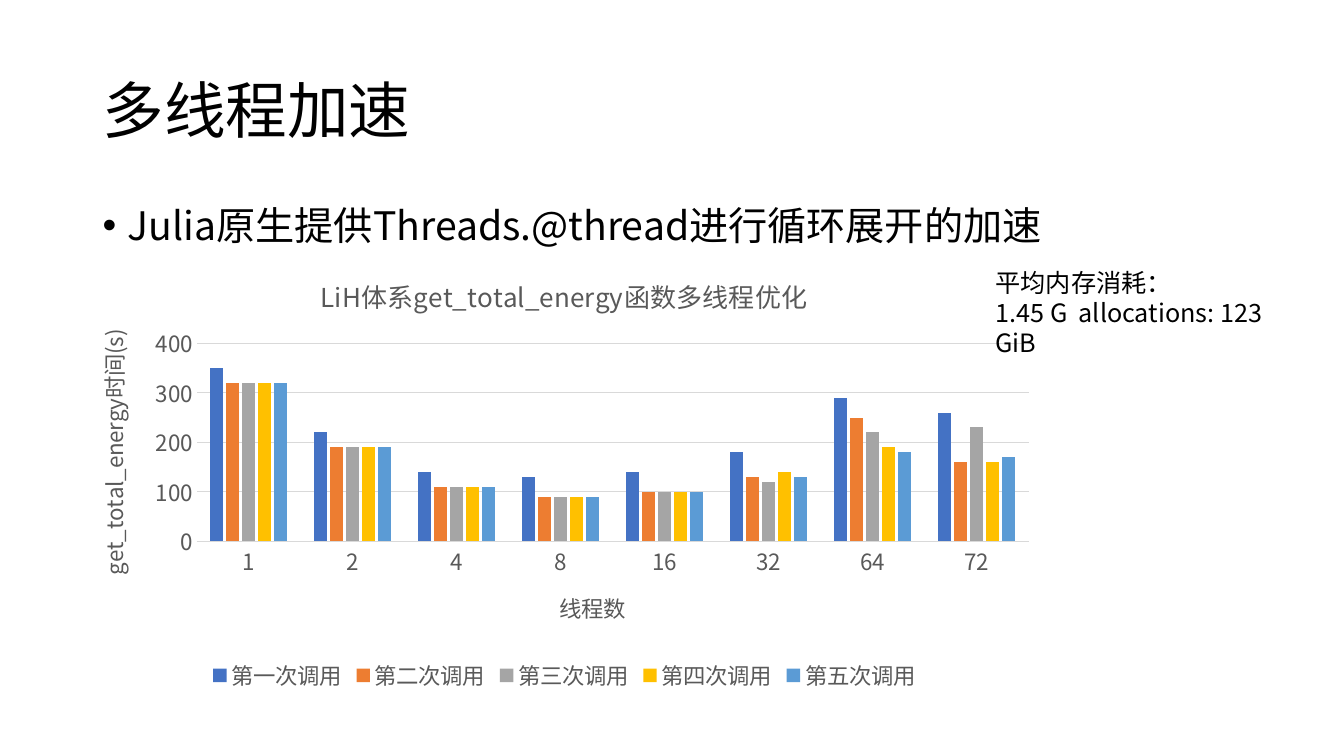
"""Build a slide on multithreaded speed-up with a clustered column chart."""
from lxml.etree import SubElement
from pptx import Presentation
from pptx.chart.data import CategoryChartData
from pptx.dml.color import RGBColor
from pptx.enum.chart import XL_CHART_TYPE, XL_LEGEND_POSITION, XL_TICK_MARK
from pptx.enum.text import MSO_ANCHOR, MSO_AUTO_SIZE, PP_ALIGN
from pptx.oxml import parse_xml
from pptx.oxml.ns import nsdecls, qn
from pptx.util import Cm, Pt

FONT = "Noto Sans CJK SC"
BLACK = RGBColor(0x00, 0x00, 0x00)
GRAY = RGBColor(0x59, 0x59, 0x59)
LIGHT_GRAY = RGBColor(0xD9, 0xD9, 0xD9)
BLUE = RGBColor(0x44, 0x72, 0xC4)
ORANGE = RGBColor(0xED, 0x7D, 0x31)
SILVER = RGBColor(0xA5, 0xA5, 0xA5)
GOLD = RGBColor(0xFF, 0xC0, 0x00)
SKY = RGBColor(0x5B, 0x9B, 0xD5)

THREADS = ["1", "2", "4", "8", "16", "32", "64", "72"]
CALLS = [
    ("第一次调用", BLUE, (350, 220, 140, 130, 140, 180, 290, 260)),
    ("第二次调用", ORANGE, (320, 190, 110, 90, 100, 130, 250, 160)),
    ("第三次调用", SILVER, (320, 190, 110, 90, 100, 120, 220, 230)),
    ("第四次调用", GOLD, (320, 190, 110, 90, 100, 140, 190, 160)),
    ("第五次调用", SKY, (320, 190, 110, 90, 100, 130, 180, 170)),
]
PLOT_AREA = {"x": 0.12, "y": 0.2, "w": 0.86, "h": 0.45}


class SlideBuilder:
    """Hold the style and the current slide."""

    def __init__(self, slide):
        self.slide = slide

    def style(self, font, size, color):
        font.name = FONT
        font.size = Pt(size)
        font.bold = False
        font.color.rgb = color
        SubElement(font._element, qn("a:ea"), typeface=FONT)

    def place(self, shape, left, top, width, height):
        shape.left, shape.top = Cm(left), Cm(top)
        shape.width, shape.height = Cm(width), Cm(height)

    def title(self, text, box):
        shape = self.slide.shapes.title
        self.place(shape, *box)
        frame = shape.text_frame
        frame.text = text
        frame.auto_size = MSO_AUTO_SIZE.NONE
        frame.vertical_anchor = MSO_ANCHOR.MIDDLE
        paragraph = frame.paragraphs[0]
        paragraph.alignment = PP_ALIGN.LEFT
        paragraph.line_spacing = 0.9
        self.style(paragraph.font, 44, BLACK)

    def bullets(self, lines, box):
        shape = self.slide.placeholders[1]
        self.place(shape, *box)
        frame = shape.text_frame
        frame.text = "\n".join(lines)
        frame.auto_size = MSO_AUTO_SIZE.NONE
        for paragraph in frame.paragraphs:
            paragraph.line_spacing = 0.9
            paragraph.space_before = Pt(10)
            self.style(paragraph.font, 28, BLACK)
            properties = paragraph._p.get_or_add_pPr()
            properties.set("marL", str(Cm(0.64)))
            properties.set("indent", str(Cm(-0.64)))

    def text(self, lines, box):
        frame = self.slide.shapes.add_textbox(*map(Cm, box)).text_frame
        frame.word_wrap = True
        frame.auto_size = MSO_AUTO_SIZE.SHAPE_TO_FIT_TEXT
        frame.text = "\n".join(lines)
        for paragraph in frame.paragraphs:
            self.style(paragraph.font, 18, BLACK)

    def chart_text(self, title, text, size):
        title.text_frame.text = text
        self.style(title.text_frame.paragraphs[0].font, size, GRAY)

    def axis(self, axis, title):
        self.chart_text(axis.axis_title, title, 16)
        axis.major_tick_mark = axis.minor_tick_mark = XL_TICK_MARK.NONE
        self.style(axis.tick_labels.font, 16, GRAY)

    def line(self, line):
        line.color.rgb = LIGHT_GRAY
        line.width = Pt(0.75)

    def column_chart(self, title, category_title, value_title, box):
        data = CategoryChartData()
        data.categories = THREADS
        for name, _, values in CALLS:
            data.add_series(name, values)
        chart = self.slide.shapes.add_chart(
            XL_CHART_TYPE.COLUMN_CLUSTERED, *map(Cm, box), data).chart
        self.style(chart.font, 16, BLACK)
        self.chart_text(chart.chart_title, title, 18.6)

        self.axis(chart.category_axis, category_title)
        self.line(chart.category_axis.format.line)
        value_axis = chart.value_axis
        self.axis(value_axis, value_title)
        value_axis.minimum_scale, value_axis.maximum_scale = 0, 400
        value_axis.major_unit = 100
        value_axis.format.line.fill.background()
        self.line(value_axis.major_gridlines.format.line)
        body = value_axis.axis_title._element.find(".//" + qn("a:bodyPr"))
        body.set("rot", "-5400000")
        body.set("vert", "horz")

        plot = chart.plots[0]
        plot.vary_by_categories = False
        plot.gap_width, plot.overlap = 219, -27
        for series, (_, color, _) in zip(plot.series, CALLS):
            series.format.fill.solid()
            series.format.fill.fore_color.rgb = color

        chart.has_legend = True
        chart.legend.position = XL_LEGEND_POSITION.BOTTOM
        chart.legend.include_in_layout = False
        self.style(chart.legend.font, 16, GRAY)
        self.plot_layout(chart._chartSpace.chart.plotArea)

    def plot_layout(self, plot_area):
        for layout in plot_area.findall(qn("c:layout")):
            plot_area.remove(layout)
        sizes = "".join(f'<c:{key} val="{value}"/>' for key, value in PLOT_AREA.items())
        plot_area.insert(0, parse_xml(
            f'<c:layout {nsdecls("c")}><c:manualLayout><c:layoutTarget val="inner"/>'
            f'<c:xMode val="edge"/><c:yMode val="edge"/>{sizes}'
            '</c:manualLayout></c:layout>'))


presentation = Presentation()
presentation.slide_width, presentation.slide_height = Cm(33.87), Cm(19.05)
builder = SlideBuilder(presentation.slides.add_slide(presentation.slide_layouts[1]))
builder.title("多线程加速", (2.33, 1.01, 29.21, 3.68))
builder.bullets(["Julia原生提供Threads.@thread进行循环展开的加速"], (2.33, 5.07, 29.21, 12.09))
builder.column_chart("LiH体系get_total_energy函数多线程优化", "线程数",
                     "get_total_energy时间(s)", (2.03, 6.43, 24.38, 11.1))
builder.text(["平均内存消耗：", "1.45 G  allocations: 123 GiB"], (24.84, 6.6, 8.28, 1.8))
presentation.save("out.pptx")
